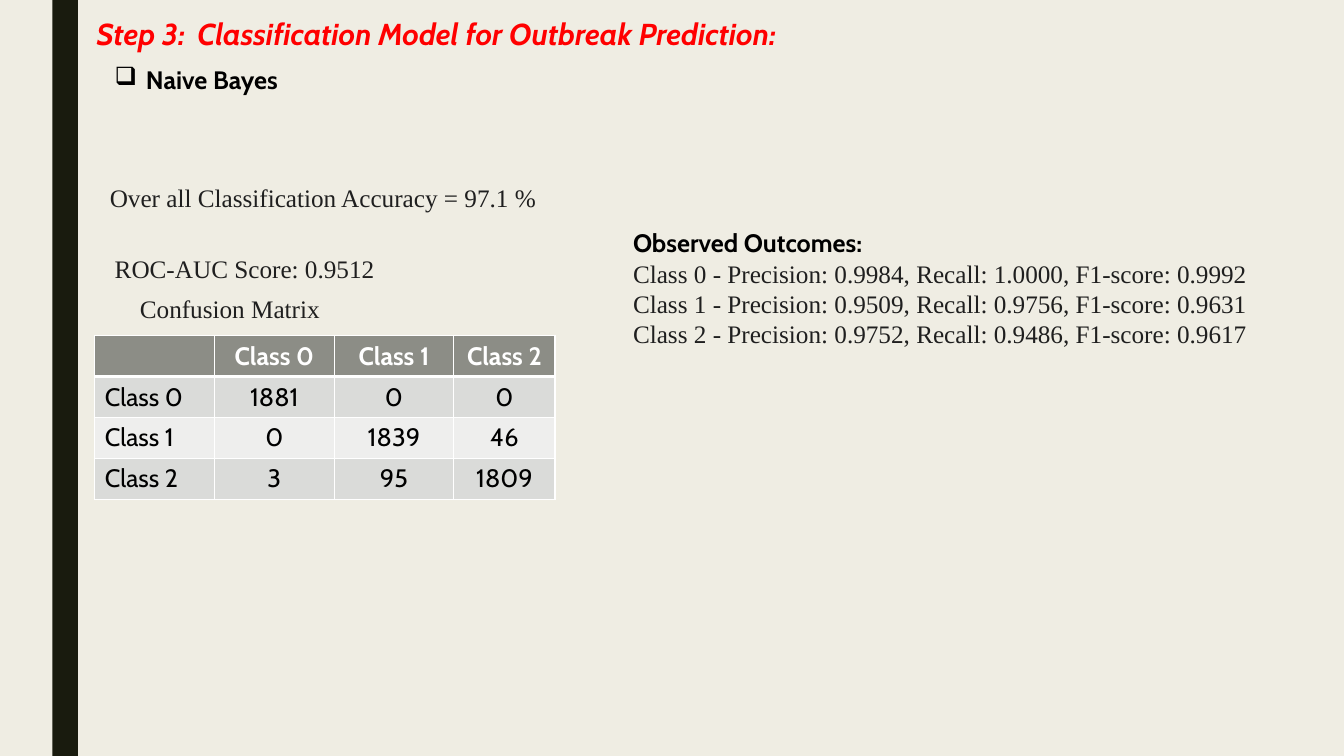
from lxml import etree
from pptx import Presentation
from pptx.dml.color import RGBColor
from pptx.enum.shapes import MSO_SHAPE as Shape
from pptx.enum.text import MSO_ANCHOR as Anchor, PP_ALIGN as Align
from pptx.oxml import parse_xml
from pptx.oxml.ns import nsdecls, qn
from pptx.util import Inches, Pt

# Grid: 100 columns by 100 rows over the slide
WIDE, HIGH = Inches(13.33), Inches(7.5)
COL, ROW = WIDE / 100, HIGH / 100

HEAD = dict(name="Cabin", size=Pt(18), bold=True, color="000000")
BODY = dict(name="Times New Roman", size=Pt(18), bold=False, color="1F1F1F")
TITLE = HEAD | dict(size=Pt(21.6), italic=True, color="FF0000")
CELL = HEAD | dict(bold=False)

MATRIX = [
    ["", "Class 0", "Class 1", "Class 2"],
    ["Class 0", "1881", "0", "0"],
    ["Class 1", "0", "1839", "46"],
    ["Class 2", "3", "95", "1809"],
]
SHARES = [0.26, 0.26, 0.26, 0.22]
SCORES = [
    "Class 0 - Precision: 0.9984, Recall: 1.0000, F1-score: 0.9992",
    "Class 1 - Precision: 0.9509, Recall: 0.9756, F1-score: 0.9631",
    "Class 2 - Precision: 0.9752, Recall: 0.9486, F1-score: 0.9617",
]


def paint(fill, color):
    fill.solid()
    fill.fore_color.rgb = RGBColor.from_string(color)


def place(x, y, w, h):
    return round(x * COL), round(y * ROW), round(w * COL), round(h * ROW)


def write(par, text, form, align=Align.LEFT):
    par.alignment = align
    run = par.add_run()
    run.text = text
    for key, value in form.items():
        if key == "color":
            run.font.color.rgb = RGBColor.from_string(value)
        else:
            setattr(run.font, key, value)


def label(slide, box, lines, align=Align.LEFT):
    frame = slide.shapes.add_textbox(*place(*box)).text_frame
    frame.word_wrap = True
    for i, (text, form) in enumerate(lines):
        par = frame.add_paragraph() if i else frame.paragraphs[0]
        write(par, text, form, align)
    return frame


def side_bar(slide, box):
    bar = slide.shapes.add_shape(Shape.RECTANGLE, *place(*box))
    bar.shadow.inherit = False
    bar.line.fill.background()
    paint(bar.fill, "191B0E")


def header(slide, box):
    x, y, w, h = box
    # Step title
    frame = label(slide, (x, y, 54.84, 6.8),
                  [("Step 3:\tClassification Model for Outbreak Prediction:", TITLE)])
    frame.vertical_anchor = Anchor.MIDDLE
    frame.paragraphs[0].line_spacing = 0.89
    # Model name with a square bullet
    frame = label(slide, (x + 1.35, y + 6.54, w - 1.35, 5.33), [("Naive Bayes", HEAD)])
    props = frame.paragraphs[0]._p.get_or_add_pPr()
    indent = Inches(0.31)
    props.set("marL", str(indent))
    props.set("indent", str(-indent))
    etree.SubElement(props, qn("a:buChar")).set("char", "❑")


def edge(cell, side, width):
    cell._tc.get_or_add_tcPr().append(parse_xml(
        f'<a:ln{side} {nsdecls("a")} w="{Pt(width)}"><a:solidFill>'
        f'<a:srgbClr val="FFFFFF"/></a:solidFill></a:ln{side}>'))


def matrix(slide, box):
    spot = place(*box)
    grid = slide.shapes.add_table(len(MATRIX), len(SHARES), *spot).table
    for col, share in zip(grid.columns, SHARES):
        col.width = round(spot[2] * share)
    for r, row in enumerate(MATRIX):
        for c, text in enumerate(row):
            cell = grid.cell(r, c)
            for side in "LRTB":
                thick = (r, side) in [(0, "B"), (1, "T")]
                edge(cell, side, 3 if thick else 1)
            paint(cell.fill, "8C8D86" if r == 0 else "DADBD9" if r % 2 else "EEEEED")
            if text:
                form = CELL if r else HEAD | dict(color="FFFFFF")
                write(cell.text_frame.paragraphs[0], text, form,
                      Align.CENTER if c else Align.LEFT)


def results(slide, box):
    x, y, w, h = box
    notes = [
        (0.38, 0, 50, "Over all Classification Accuracy = 97.1 %"),
        (0.75, 9.33, 23.7, "ROC-AUC Score: 0.9512"),
        (2.62, 14.67, 19.88, "Confusion Matrix"),
    ]
    for dx, dy, width, text in notes:
        label(slide, (x + dx, y + dy, width, 5.33), [(text, BODY)])
    matrix(slide, (x, y + 20.93, w, h - 20.93))


def outcomes(slide, box):
    lines = [("Observed Outcomes:", HEAD)] + [(text, BODY) for text in SCORES]
    label(slide, box, lines, Align.JUSTIFY)


def main():
    deck = Presentation()
    deck.slide_width, deck.slide_height = WIDE, HIGH
    slide = deck.slides.add_slide(deck.slide_layouts[6])
    paint(slide.background.fill, "EFEDE3")
    side_bar(slide, (3.9, 0, 1.9, 100))
    header(slide, (6.45, 1.33, 88.52, 12))
    outcomes(slide, (46.36, 29.47, 48.24, 17.47))
    results(slide, (7.05, 23.47, 34.25, 42.6))
    deck.save("out.pptx")


if __name__ == "__main__":
    main()
